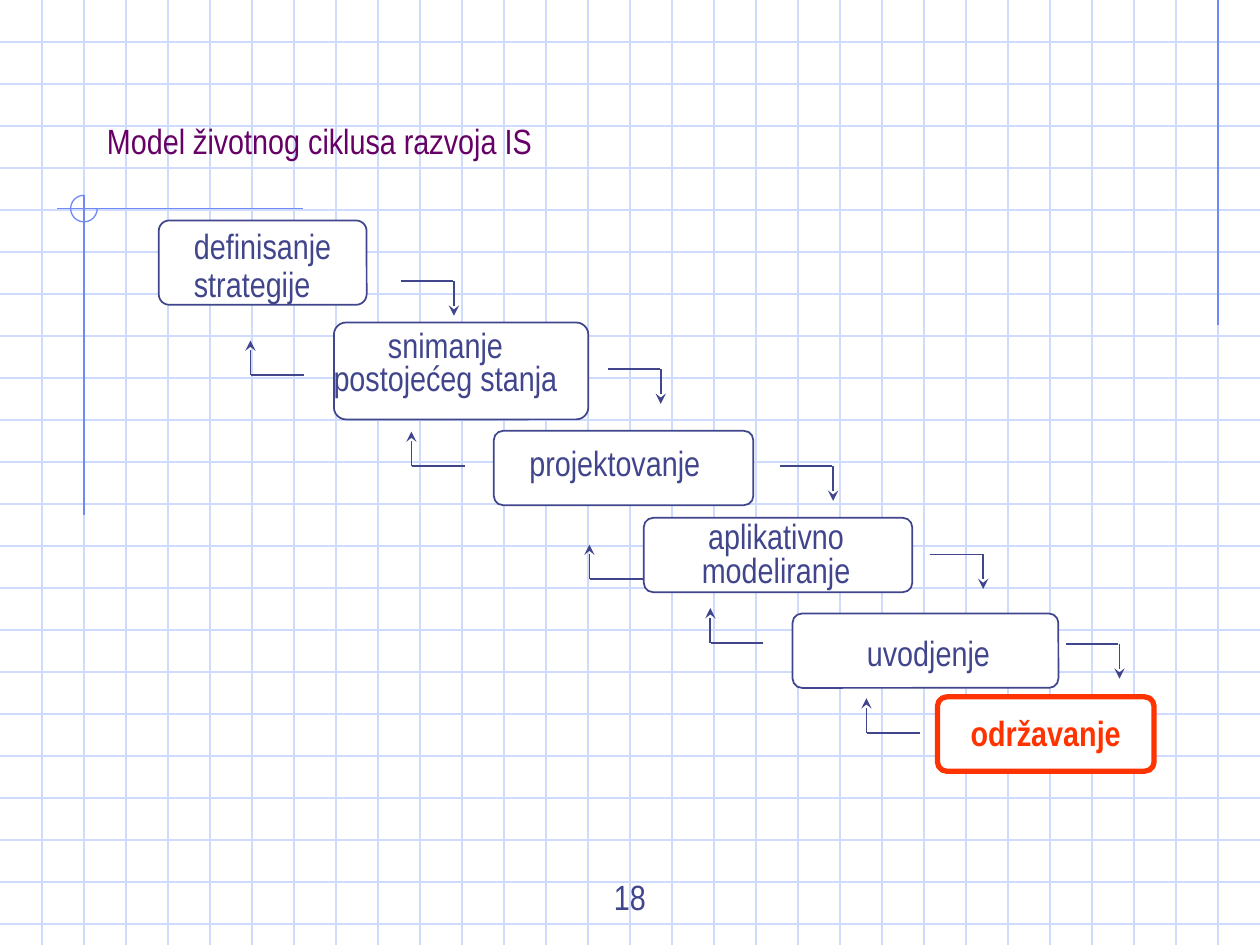
from dataclasses import dataclass

from lxml.etree import SubElement
from pptx import Presentation
from pptx.dml.color import RGBColor
from pptx.enum.shapes import MSO_CONNECTOR, MSO_SHAPE
from pptx.enum.text import MSO_ANCHOR, PP_ALIGN
from pptx.oxml.ns import qn
from pptx.util import Pt


@dataclass(frozen=True)
class Theme:
    """Colours, font and type size of the slide."""
    grid: str = "CFDBFD"
    accent: str = "6F89F7"
    ink: str = "40458C"
    title: str = "660066"
    alert: str = "FF3300"
    paper: str = "FFFFFF"
    font: str = "Arial Narrow"
    size: int = 20


THEME = Theme()
WIDTH, HEIGHT = 720, 540
GRID_STEP = 24
ELBOW_RUN, ELBOW_RISE = 30.4, 19.8

STEPS = [
    ("definisanje strategije", (90.7, 126, 118.8, 48.2), (103.7, 127.4, 106.6, 50.4)),
    ("snimanje postojećeg stanja", (190.8, 184.3, 145.4, 55.4), (182.9, 185.8, 143.3, 46.1)),
    ("projektovanje", (282.2, 246.2, 148.3, 42.5), (284.4, 253.4, 133.9, 26.6)),
    ("aplikativno modeliranje", (367.9, 295.9, 153.4, 42.5), (363.6, 295.2, 159.8, 46.1)),
    ("uvodjenje", (452.9, 350.6, 151.9, 42.5), (447.8, 362.2, 165.6, 26.6)),
    ("održavanje", (535.7, 398.2, 123.8, 42.5), (539.3, 407.5, 116.6, 26.6)),
]
FORWARD = [(229, 160.6), (347.2, 211), (445.7, 266.4), (531.4, 316.8), (609.3, 368)]
BACK = [(173.5, 214.4), (265.5, 266.4), (367.2, 331), (436.3, 367.3), (525.5, 418.8)]


def add_line(s, x1, y1, x2, y2, color, width=0.75, arrow=False):
    """Draw a straight line, optionally ending in an arrowhead."""
    line = s.shapes.add_connector(MSO_CONNECTOR.STRAIGHT, Pt(x1), Pt(y1), Pt(x2), Pt(y2))
    line.line.color.rgb = RGBColor.from_string(color)
    line.line.width = Pt(width)
    if arrow:
        SubElement(line.line._get_or_add_ln(), qn("a:tailEnd"), type="stealth")
    SubElement(line._element.spPr, qn("a:effectLst"))


def add_text(s, box, text, color=THEME.ink, align=PP_ALIGN.CENTER,
             anchor=MSO_ANCHOR.TOP, spacing=1.0, bold=False):
    """Place one wrapped paragraph in the given box."""
    tf = s.shapes.add_textbox(*map(Pt, box)).text_frame
    tf.word_wrap = True
    tf.vertical_anchor = anchor
    tf.text = text
    p = tf.paragraphs[0]
    p.alignment = align
    p.line_spacing = spacing
    font = p.runs[0].font
    font.name, font.size, font.bold = THEME.font, Pt(THEME.size), bold
    font.color.rgb = RGBColor.from_string(color)


def add_grid(s, box):
    """Rule the box like squared paper."""
    x, y, w, h = box
    for gy in range(y + GRID_STEP, y + h, GRID_STEP):
        add_line(s, x, gy, x + w, gy, THEME.grid)
    for gx in range(x + GRID_STEP, x + w, GRID_STEP):
        add_line(s, gx, y, gx, y + h, THEME.grid)


def add_ornament(s, box):
    """Draw the margin rule and the crosshair with its three-quarter circle."""
    x, y, w, h = box
    cx, cy, radius = x + 2 * GRID_STEP, y + 119.2, 7.6
    margin = x + w - GRID_STEP
    add_line(s, margin, y, margin, y + 186, THEME.accent)
    add_line(s, cx + 125, cy, cx - 15.4, cy, THEME.accent)
    add_line(s, cx, cy - radius, cx, cy + 175.3, THEME.accent)
    arc = s.shapes.add_shape(MSO_SHAPE.ARC, Pt(cx - radius), Pt(cy - radius),
                             Pt(2 * radius), Pt(2 * radius))
    arc.adjustments[0], arc.adjustments[1] = 0, 162
    arc.shadow.inherit = False
    arc.fill.background()
    arc.line.color.rgb = RGBColor.from_string(THEME.accent)
    arc.line.width = Pt(0.75)


def add_step_box(s, box, color, width):
    """Draw the rounded frame of one step."""
    sp = s.shapes.add_shape(MSO_SHAPE.ROUNDED_RECTANGLE, *map(Pt, box))
    sp.adjustments[0] = 0.125
    sp.shadow.inherit = False
    sp.fill.solid()
    sp.fill.fore_color.rgb = RGBColor.from_string(THEME.paper)
    sp.line.color.rgb = RGBColor.from_string(color)
    sp.line.width = Pt(width)


def add_elbow(s, x, y, direction):
    """Draw a bent arrow: 1 goes right and down, -1 goes left and up."""
    corner = x + direction * ELBOW_RUN
    add_line(s, x, y, corner - direction * 0.6, y, THEME.ink, 1)
    add_line(s, corner, y, corner, y + direction * ELBOW_RISE, THEME.ink, 1, arrow=True)


def add_cascade(s, box):
    """Place the steps of the life cycle and the arrows between them."""
    x, y, _, _ = box
    last = STEPS[-1][0]
    for label, (fx, fy, fw, fh), _ in STEPS:
        color, width = (THEME.alert, 3) if label == last else (THEME.ink, 1)
        add_step_box(s, (x + fx, y + fy, fw, fh), color, width)
    for label, _, (tx, ty, tw, th) in STEPS:
        first, final = label == STEPS[0][0], label == last
        add_text(s, (x + tx, y + ty, tw, th), label,
                 color=THEME.alert if final else THEME.ink,
                 align=PP_ALIGN.LEFT if first else PP_ALIGN.CENTER,
                 spacing=0.9 if first else 0.8, bold=final)
    for starts, direction in ((FORWARD, 1), (BACK, -1)):
        for ex, ey in starts:
            add_elbow(s, x + ex, y + ey, direction)


def build_slide(prs):
    """Build the life cycle slide."""
    s = prs.slides.add_slide(prs.slide_layouts[6])
    s.background.fill.solid()
    s.background.fill.fore_color.rgb = RGBColor.from_string(THEME.paper)
    page = (0, 0, WIDTH, HEIGHT)
    add_grid(s, page)
    add_ornament(s, page)
    add_text(s, (246, 491.8, 228, 36), "18", anchor=MSO_ANCHOR.BOTTOM)
    add_text(s, (54, 46, 630, 50), "Model životnog ciklusa razvoja IS",
             color=THEME.title, align=PP_ALIGN.LEFT, anchor=MSO_ANCHOR.BOTTOM)
    add_cascade(s, page)


def main():
    """Create and save the presentation."""
    prs = Presentation()
    prs.slide_width, prs.slide_height = Pt(WIDTH), Pt(HEIGHT)
    build_slide(prs)
    prs.save("out.pptx")


if __name__ == "__main__":
    main()
